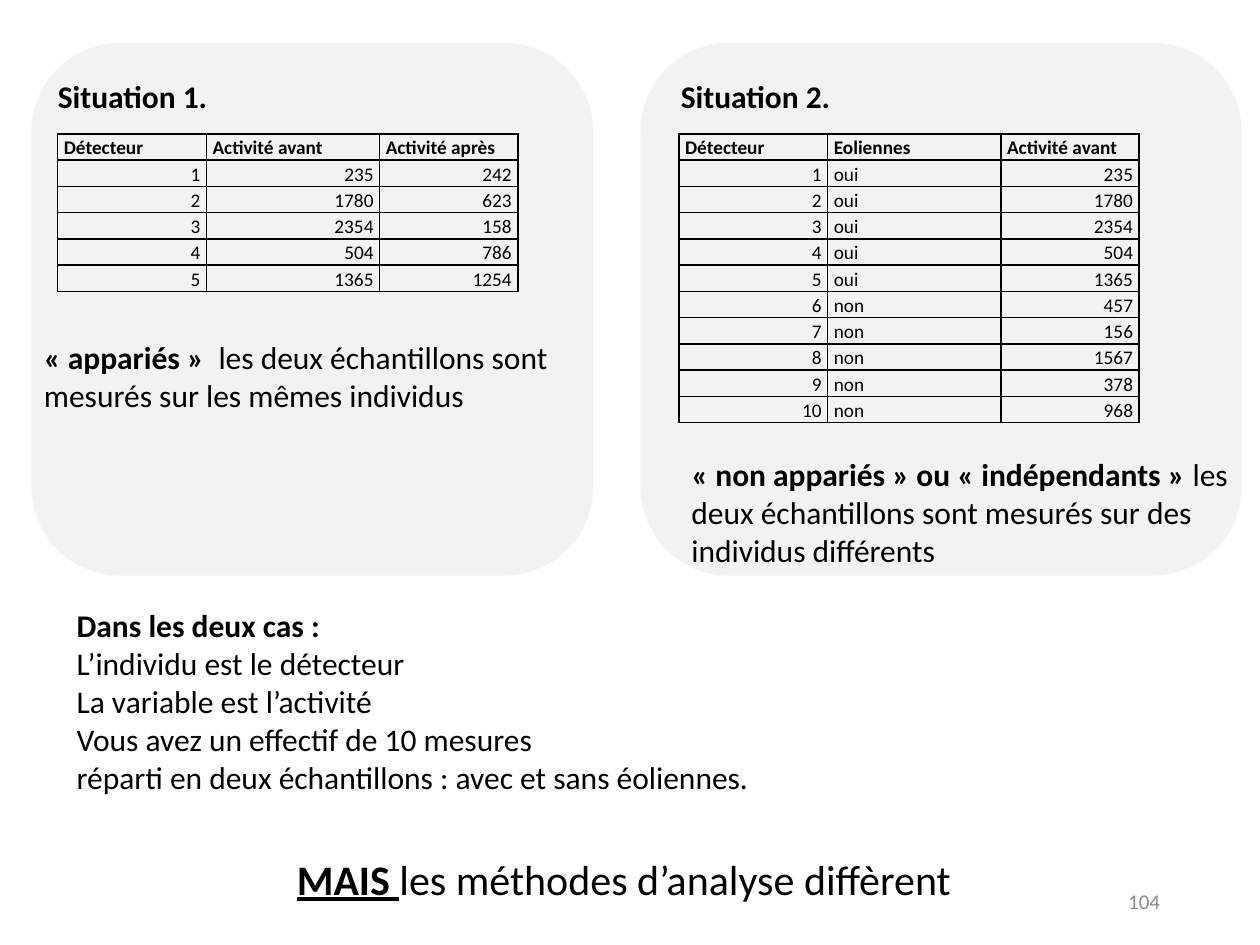
"""Build a slide comparing paired and independent samples."""
from dataclasses import dataclass

import lxml.etree
import pptx
import pptx.dml.color
import pptx.enum.shapes
import pptx.enum.text
import pptx.oxml.ns
import pptx.util

Pt = pptx.util.Pt
PP_ALIGN = pptx.enum.text.PP_ALIGN
ANCHOR = pptx.enum.text.MSO_ANCHOR
AUTO = pptx.enum.text.MSO_AUTO_SIZE

FONT = "Calibri"
COLORS = {"panel": "F2F2F2", "text": "000000", "number": "8C8C8C"}
COL_WIDTHS = (85, 99, 79)
ROW_HEIGHT = 15


@dataclass
class Panel:
    left: float
    top: float
    width: float
    height: float


@dataclass
class Grid:
    left: float
    top: float
    rows: list[tuple[str, ...]]


@dataclass
class Run:
    text: str
    bold: bool = False
    underline: bool = False


@dataclass
class Text:
    left: float
    top: float
    width: float
    height: float
    paragraphs: list[list[Run]]
    size: float = 18
    color: str = "text"
    align: PP_ALIGN = PP_ALIGN.LEFT
    anchor: ANCHOR = ANCHOR.TOP
    wrap: bool = True
    autosize: AUTO = AUTO.SHAPE_TO_FIT_TEXT


PANELS = [Panel(366, 24.5, 343.5, 304.5), Panel(18, 24.5, 321, 304.5)]

ACTIVITY = ["235", "1780", "2354", "504", "1365", "457", "156", "1567", "378", "968"]
AFTER = ["242", "623", "158", "786", "1254"]

PAIRED = [("Détecteur", "Activité avant", "Activité après")] + [
    (str(i), before, after)
    for i, (before, after) in enumerate(zip(ACTIVITY, AFTER), 1)
]
INDEPENDENT = [("Détecteur", "Eoliennes", "Activité avant")] + [
    (str(i), "oui" if i <= 5 else "non", value)
    for i, value in enumerate(ACTIVITY, 1)
]
GRIDS = [Grid(33, 76.5, PAIRED), Grid(388, 76.5, INDEPENDENT)]

TEXTS = [
    Text(382, 40.5, 105, 29, [[Run("Situation 2.", True)]], wrap=False),
    Text(26, 40.5, 105, 29, [[Run("Situation 1.", True)]], wrap=False),
    Text(36.7, 343, 584, 117, [
        [Run("Dans les deux cas :", True)],
        [Run("L’individu est le détecteur")],
        [Run("La variable est l’activité")],
        [Run("Vous avez un effectif de 10 mesures")],
        [Run("réparti en deux échantillons : avec et sans éoliennes.")],
    ]),
    Text(18, 189.5, 306, 51, [[
        Run("« appariés »", True),
        Run("  les deux échantillons sont mesurés sur les mêmes individus"),
    ]]),
    Text(388, 256.5, 330, 73, [[
        Run("« non appariés » ou « indépendants »", True),
        Run(" les deux échantillons sont mesurés sur des individus différents"),
    ]]),
    Text(162.5, 484, 439, 36, [[
        Run("MAIS ", True, True),
        Run("les méthodes d’analyse diffèrent"),
    ]], size=24),
    Text(508, 500.5, 162, 29, [[Run("104")]], size=12, color="number",
         align=PP_ALIGN.RIGHT, anchor=ANCHOR.MIDDLE, autosize=AUTO.NONE),
]


def rgb(name: str) -> pptx.dml.color.RGBColor:
    """Return the named palette colour."""
    return pptx.dml.color.RGBColor.from_string(COLORS[name])


def set_font(p, size: float, color: str) -> None:
    """Set the font shared by all runs of a paragraph."""
    p.font.name = FONT
    p.font.size = Pt(size)
    p.font.color.rgb = rgb(color)


def add_panel(s, panel: Panel) -> None:
    """Draw a rounded background panel."""
    sp = s.shapes.add_shape(
        pptx.enum.shapes.MSO_SHAPE.ROUNDED_RECTANGLE,
        Pt(panel.left), Pt(panel.top), Pt(panel.width), Pt(panel.height))
    sp.shadow.inherit = False
    sp.fill.solid()
    sp.fill.fore_color.rgb = rgb("panel")
    sp.line.fill.background()


def add_borders(cell) -> None:
    """Give a cell thin borders on all four sides."""
    qn = pptx.oxml.ns.qn
    tc_pr = cell._tc.get_or_add_tcPr()
    for i, side in enumerate(("lnL", "lnR", "lnT", "lnB")):
        ln = lxml.etree.Element(qn(f"a:{side}"), w=str(Pt(1)))
        fill = lxml.etree.SubElement(ln, qn("a:solidFill"))
        lxml.etree.SubElement(fill, qn("a:srgbClr"), val=COLORS["text"])
        tc_pr.insert(i, ln)


def fill_cell(cell, text: str, header: bool) -> None:
    """Write and format one table cell."""
    cell.margin_left = cell.margin_right = Pt(3.5)
    cell.margin_top = cell.margin_bottom = Pt(0)
    cell.vertical_anchor = ANCHOR.BOTTOM
    if header:
        cell.fill.solid()
        cell.fill.fore_color.rgb = rgb("panel")
    else:
        cell.fill.background()
    add_borders(cell)
    p = cell.text_frame.paragraphs[0]
    p.add_run().text = text
    p.line_spacing = 1.07
    p.alignment = PP_ALIGN.RIGHT if text.isdigit() else PP_ALIGN.LEFT
    set_font(p, 11, "text")
    p.font.bold = header


def add_grid(s, grid: Grid) -> None:
    """Draw a data table."""
    count = len(grid.rows)
    table = s.shapes.add_table(
        count, len(COL_WIDTHS), Pt(grid.left), Pt(grid.top),
        Pt(sum(COL_WIDTHS)), Pt(count * ROW_HEIGHT)).table
    table.first_row = table.horz_banding = False
    for column, width in zip(table.columns, COL_WIDTHS):
        column.width = Pt(width)
    for i, values in enumerate(grid.rows):
        table.rows[i].height = Pt(ROW_HEIGHT)
        for j, value in enumerate(values):
            fill_cell(table.cell(i, j), value, header=i == 0)


def add_text(s, text: Text) -> None:
    """Draw a text box with its paragraphs and runs."""
    sp = s.shapes.add_textbox(
        Pt(text.left), Pt(text.top), Pt(text.width), Pt(text.height))
    tf = sp.text_frame
    tf.word_wrap = text.wrap
    tf.auto_size = text.autosize
    tf.vertical_anchor = text.anchor
    for i, runs in enumerate(text.paragraphs):
        p = tf.add_paragraph() if i else tf.paragraphs[0]
        p.alignment = text.align
        set_font(p, text.size, text.color)
        for run in runs:
            r = p.add_run()
            r.text = run.text
            r.font.bold = run.bold
            r.font.underline = run.underline


def main() -> None:
    """Build and save the slide."""
    prs = pptx.Presentation()
    prs.slide_width, prs.slide_height = Pt(720), Pt(540)
    s = prs.slides.add_slide(prs.slide_layouts[6])
    for draw, items in ((add_panel, PANELS), (add_grid, GRIDS), (add_text, TEXTS)):
        for item in items:
            draw(s, item)
    prs.save("out.pptx")


if __name__ == "__main__":
    main()
